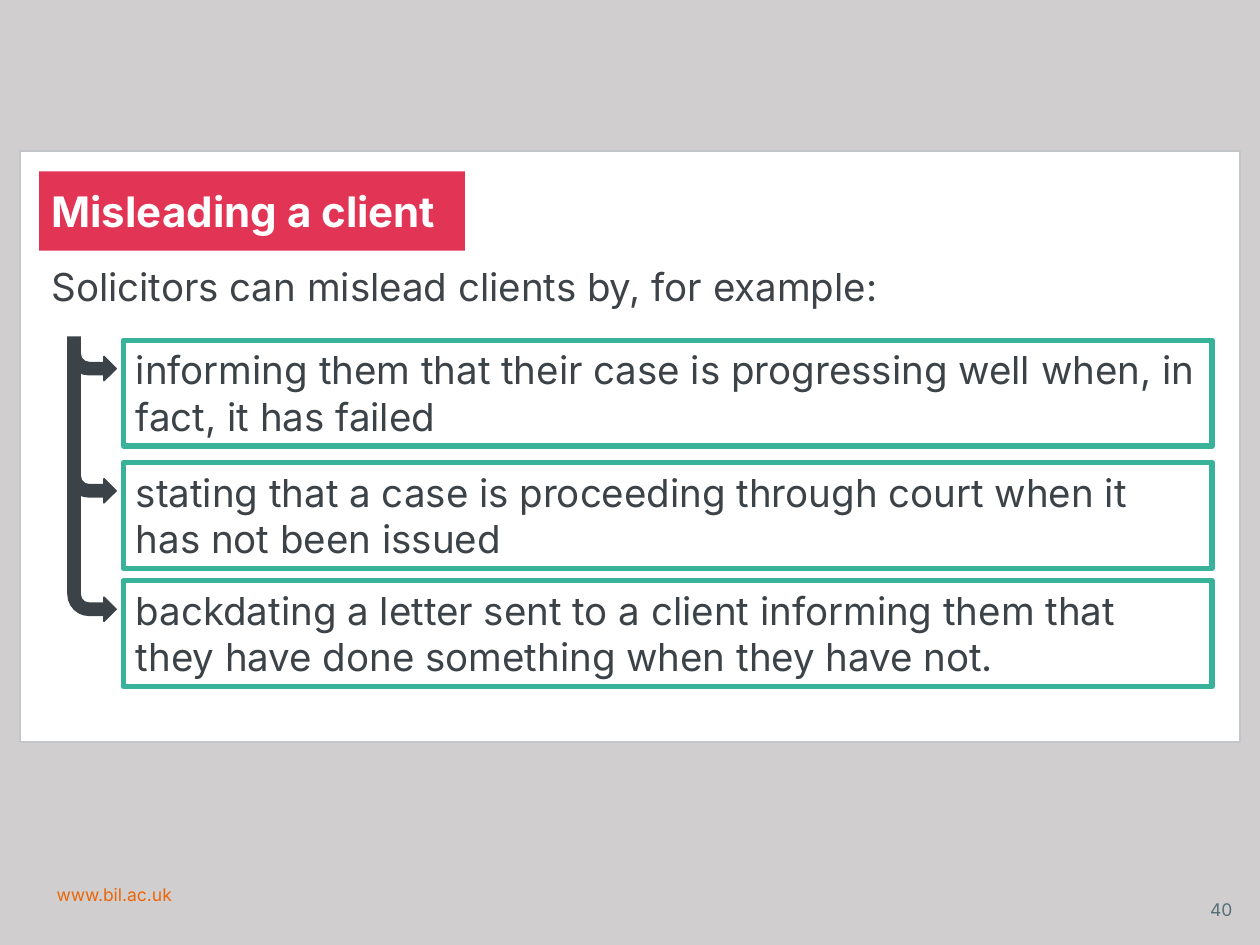
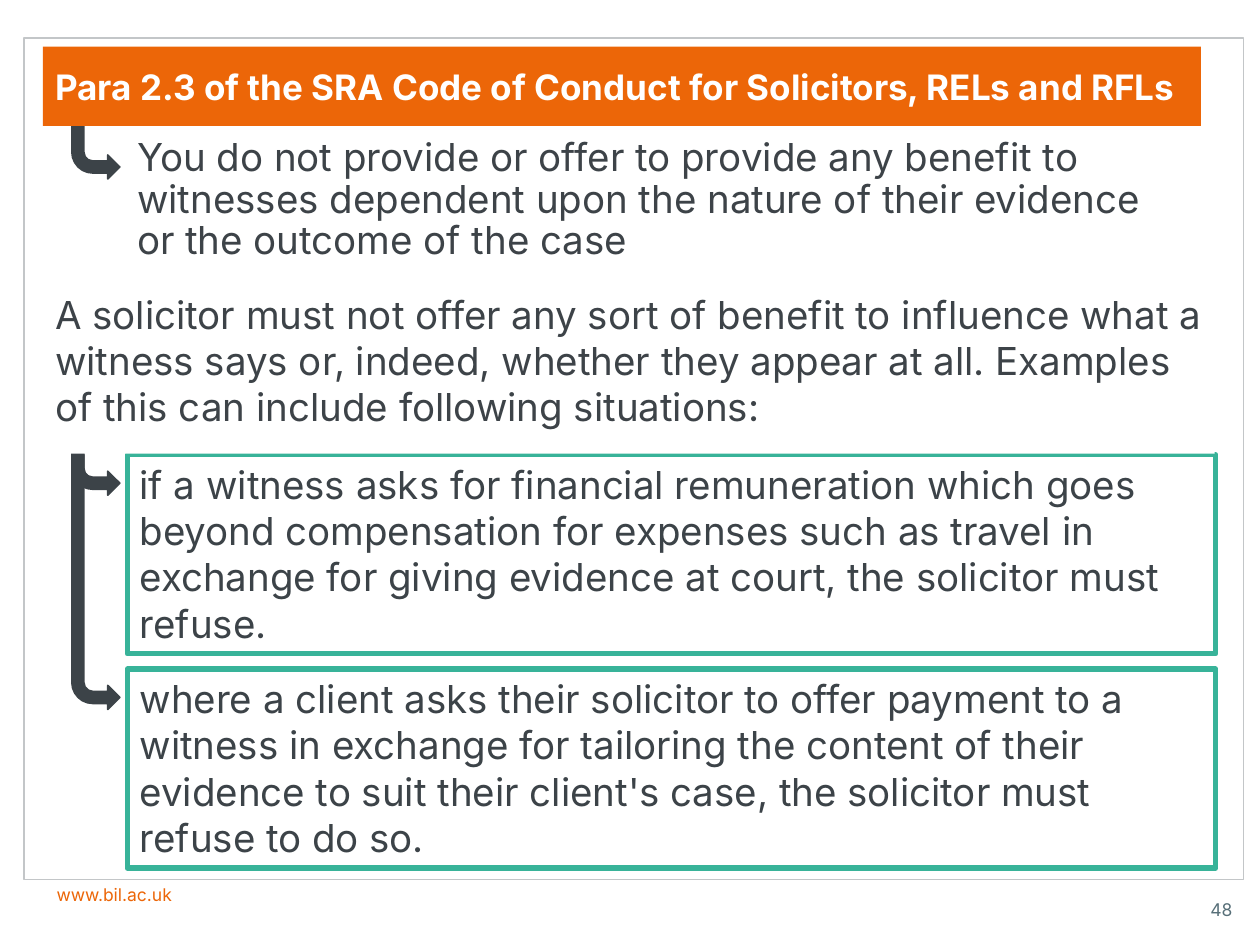
from pptx import Presentation
from pptx.dml.color import RGBColor
from pptx.enum.shapes import MSO_SHAPE
from pptx.enum.text import MSO_ANCHOR, MSO_AUTO_SIZE, PP_ALIGN
from pptx.util import Inches, Pt

RECTANGLE, BENT_ARROW = MSO_SHAPE.RECTANGLE, MSO_SHAPE.BENT_ARROW
TOP, MIDDLE = MSO_ANCHOR.TOP, MSO_ANCHOR.MIDDLE
LEFT, RIGHT = PP_ALIGN.LEFT, PP_ALIGN.RIGHT
GROW = MSO_AUTO_SIZE.SHAPE_TO_FIT_TEXT

FONT = "Inter"
WHITE = RGBColor(0xFF, 0xFF, 0xFF)
GREY = RGBColor(0xD0, 0xCE, 0xCE)
PANEL_LINE = RGBColor(0xC3, 0xC6, 0xC8)
DARK = RGBColor(0x3C, 0x43, 0x48)
BODY = RGBColor(0x3D, 0x43, 0x48)
GREEN = RGBColor(0x38, 0xB3, 0x99)
RED = RGBColor(0xE2, 0x34, 0x55)
ORANGE = RGBColor(0xEC, 0x66, 0x08)
SLATE = RGBColor(0x57, 0x6F, 0x78)

# Offsets from the left edge of the panel, in inches
TEXT_INSET, ARROW_INSET, EXAMPLE_INSET = 0.15, 0.38, 0.82
PANEL_WIDTH, LEAD_WIDTH, EXAMPLE_WIDTH = 9.68, 9.3, 8.64
BANNER_HEIGHT = 0.63
ARROW_WIDTH, ARROW_DROP = 0.38, 0.32


def add_box(slide, box, kind=RECTANGLE, fill=WHITE, line=None, line_width=1):
    shape = slide.shapes.add_shape(kind, *map(Inches, box))
    shape.shadow.inherit = False
    shape.fill.solid()
    shape.fill.fore_color.rgb = fill
    if line is None:
        shape.line.fill.background()
    else:
        shape.line.color.rgb = line
        shape.line.width = Pt(line_width)
    return shape


def add_label(slide, box):
    return slide.shapes.add_textbox(*map(Inches, box))


def write(shape, text, size=22, color=DARK, bold=False, align=LEFT,
          anchor=TOP, spacing=None):
    frame = shape.text_frame
    frame.word_wrap = True
    frame.vertical_anchor = anchor
    paragraph = frame.paragraphs[0]
    paragraph.alignment = align
    if spacing:
        paragraph.line_spacing = spacing
    run = paragraph.add_run()
    run.text = text
    run.font.name = FONT
    run.font.size = Pt(size)
    run.font.bold = bold
    run.font.color.rgb = color


def add_page(prs, background, panel, number):
    """Background, framed panel, web address and page number."""
    slide = prs.slides.add_slide(prs.slide_layouts[6])
    slide.background.fill.solid()
    slide.background.fill.fore_color.rgb = background
    add_box(slide, panel, line=PANEL_LINE)
    write(add_label(slide, (0.35, 6.97, 6.69, 0.39)), "www.bil.ac.uk",
          size=10, color=ORANGE)
    write(add_label(slide, (9.41, 7.06, 0.47, 0.32)), number,
          size=10, color=SLATE, align=RIGHT, anchor=MIDDLE)
    return slide


def add_banner(slide, panel, top, width, text, fill, size):
    banner = add_box(slide, (panel[0] + TEXT_INSET, panel[1] + top,
                             width, BANNER_HEIGHT), fill=fill)
    write(banner, text, size=size, color=WHITE, bold=True, anchor=MIDDLE)


def add_lead(slide, panel, top, height, text):
    lead = add_box(slide, (panel[0] + TEXT_INSET, panel[1] + top,
                           LEAD_WIDTH, height))
    write(lead, text, color=BODY)


def add_arrow(slide, panel, start, end):
    """Arrow that runs down from start and turns right at end."""
    arrow = add_box(slide, (panel[0] + ARROW_INSET, panel[1] + start,
                            ARROW_WIDTH, end - start),
                    kind=BENT_ARROW, fill=DARK, line=DARK)
    arrow.rotation = 180
    arrow._element.spPr.xfrm.set("flipH", "1")


def add_examples(slide, panel, height, examples):
    """Outlined boxes, each reached by an arrow."""
    for arrow_start, top, _ in examples:
        add_arrow(slide, panel, arrow_start, top + ARROW_DROP)
    for _, top, text in examples:
        example = add_box(slide, (panel[0] + EXAMPLE_INSET, panel[1] + top,
                                  EXAMPLE_WIDTH, height),
                          line=GREEN, line_width=3)
        write(example, text)
        example.text_frame.auto_size = GROW


def build_misleading_client(prs):
    panel = (0.16, 1.2, PANEL_WIDTH, 4.69)
    slide = add_page(prs, GREY, panel, "40")
    # Arrow start, box top and wording of each example
    add_examples(slide, panel, 0.84, [
        (0.97, 1.5, "informing them that their case is progressing well "
                    "when, in fact, it has failed"),
        (1.12, 2.47, "stating that a case is proceeding through court when "
                     "it has not been issued"),
        (1.72, 3.41, "backdating a letter sent to a client informing them "
                     "that they have done something when they have not."),
    ])
    # The lead covers the upper ends of the arrows
    add_lead(slide, panel, 0.84, 0.63,
             "Solicitors can mislead clients by, for example:")
    add_banner(slide, panel, 0.16, 3.38, "Misleading a client", RED, 24)


def build_witness_benefits(prs):
    panel = (0.19, 0.3, PANEL_WIDTH, 6.68)
    slide = add_page(prs, WHITE, panel, "48")
    add_examples(slide, panel, 1.58, [
        (2.61, 3.31, "if a witness asks for financial remuneration which "
                     "goes beyond compensation for expenses such as travel "
                     "in exchange for giving evidence at court, the "
                     "solicitor must refuse."),
        (3.31, 5.01, "where a client asks their solicitor to offer payment "
                     "to a witness in exchange for tailoring the content of "
                     "their evidence to suit their client's case, the "
                     "solicitor must refuse to do so."),
    ])
    add_lead(slide, panel, 1.96, 1.34,
             "A solicitor must not offer any sort of benefit to influence "
             "what a witness says or, indeed, whether they appear at all. "
             "Examples of this can include following situations:")
    # Rule quoted under the banner
    rule = add_label(slide, (panel[0] + 0.8, panel[1] + 0.75, 8.5, 1.16))
    write(rule, "You do not provide or offer to provide any benefit to "
                "witnesses dependent upon the nature of their evidence or "
                "the outcome of the case", color=BODY, spacing=0.9)
    add_arrow(slide, panel, 0.59, 1.12)
    add_banner(slide, panel, 0.07, 9.19,
               "Para 2.3 of the SRA Code of Conduct for Solicitors, RELs "
               "and RFLs", ORANGE, 20)


def main():
    prs = Presentation()
    prs.slide_width, prs.slide_height = Inches(10), Inches(7.5)
    build_misleading_client(prs)
    build_witness_benefits(prs)
    prs.save("out.pptx")


if __name__ == "__main__":
    main()
